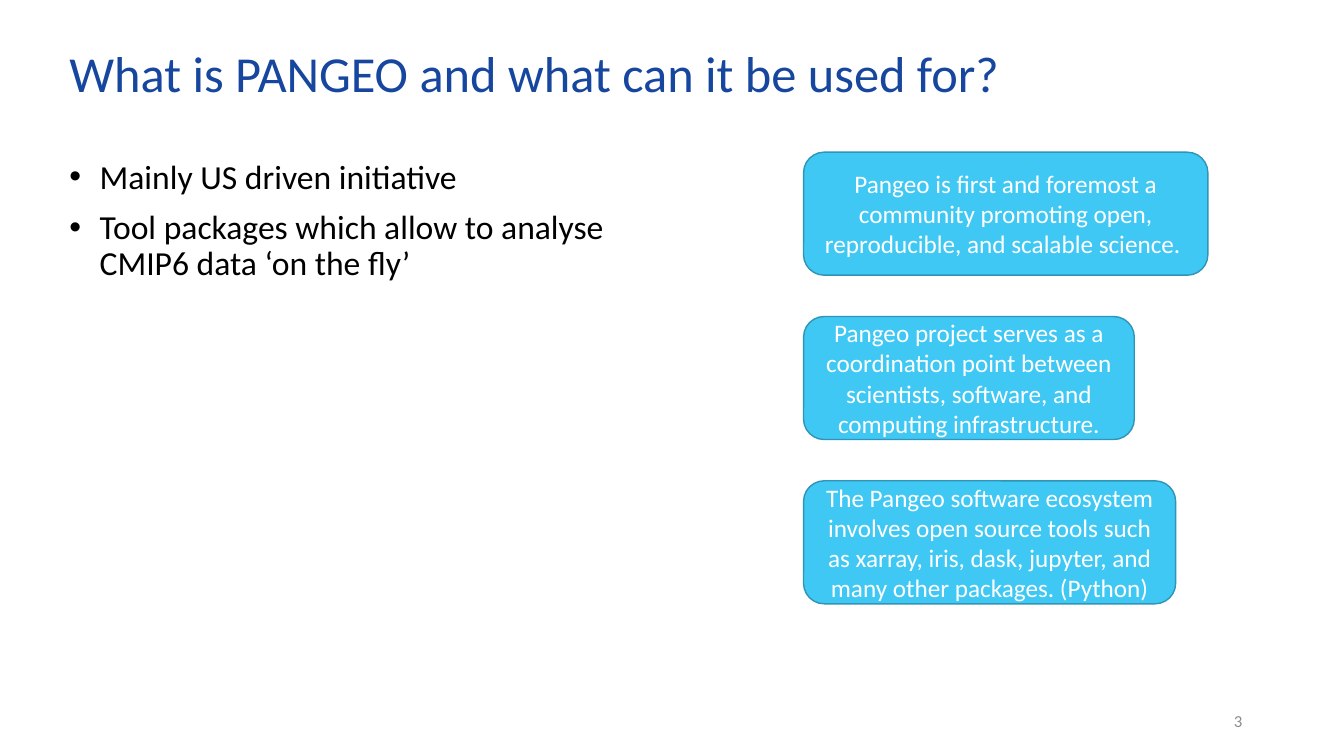
import pptx
import pptx.util
import pptx.dml.color
import pptx.enum.shapes
import pptx.enum.text
import lxml.etree

Inches = pptx.util.Inches
Pt = pptx.util.Pt
ALIGN = pptx.enum.text.PP_ALIGN
ANCHOR = pptx.enum.text.MSO_ANCHOR


def color(hex_code):
    return pptx.dml.color.RGBColor.from_string(hex_code)


def write(shape, text, size, hex_code, align=ALIGN.LEFT, anchor=ANCHOR.MIDDLE,
          line_spacing=1.0, space_before=0):
    frame = shape.text_frame
    frame.word_wrap = True
    frame.vertical_anchor = anchor
    frame.text = text
    for paragraph in frame.paragraphs:
        paragraph.alignment = align
        paragraph.line_spacing = line_spacing
        paragraph.space_before = Pt(space_before)
        font = paragraph.runs[0].font
        font.name = "Calibri"
        font.size = Pt(size)
        font.color.rgb = color(hex_code)


deck = pptx.Presentation()
deck.slide_width = Inches(13.33)
deck.slide_height = Inches(7.5)
slide = deck.slides.add_slide(deck.slide_layouts[6])

# Title
title = slide.shapes.add_textbox(Inches(0.59), Inches(0.41), Inches(11.83), Inches(0.7))
write(title, "What is PANGEO and what can it be used for?", 36, "17469E", line_spacing=0.9)

# Slide number
number = slide.shapes.add_textbox(Inches(9.42), Inches(6.95), Inches(3), Inches(0.4))
write(number, "3", 12, "8C8C8C", align=ALIGN.RIGHT)

# Statements: left-aligned, equally spaced boxes of differing width
statements = [
    (4.01, "Pangeo is first and foremost a community promoting open, "
           "reproducible, and scalable science. "),
    (3.28, "Pangeo project serves as a coordination point between scientists, "
           "software, and computing infrastructure."),
    (3.69, "The Pangeo software ecosystem involves open source tools such as "
           "xarray, iris, dask, jupyter, and many other packages. (Python)"),
]
for row, (width, text) in enumerate(statements):
    statement = slide.shapes.add_shape(
        pptx.enum.shapes.MSO_SHAPE.ROUNDED_RECTANGLE,
        Inches(7.97), Inches(1.51 + 1.63 * row), Inches(width), Inches(1.22))
    statement.shadow.inherit = False
    statement.fill.solid()
    statement.fill.fore_color.rgb = color("40C8F4")
    statement.line.color.rgb = color("2F94B5")
    statement.line.width = Pt(1)
    write(statement, text, 18, "FFFFFF", align=ALIGN.CENTER)

# Bulleted points
points = slide.shapes.add_textbox(Inches(0.59), Inches(1.54), Inches(5.79), Inches(4.65))
write(points, "Mainly US driven initiative\n"
      "Tool packages which allow to analyse CMIP6 data ‘on the fly’",
      24, "000000", anchor=ANCHOR.TOP, line_spacing=0.9, space_before=10)
for point in points.text_frame.paragraphs:
    properties = point._p.get_or_add_pPr()
    properties.set("marL", str(Inches(0.3)))
    properties.set("indent", str(Inches(-0.3)))
    for tag, key, value in [("buFont", "typeface", "Arial"), ("buChar", "char", "•")]:
        bullet = lxml.etree.SubElement(properties, pptx.oxml.ns.qn("a:" + tag))
        bullet.set(key, value)

deck.save("out.pptx")
